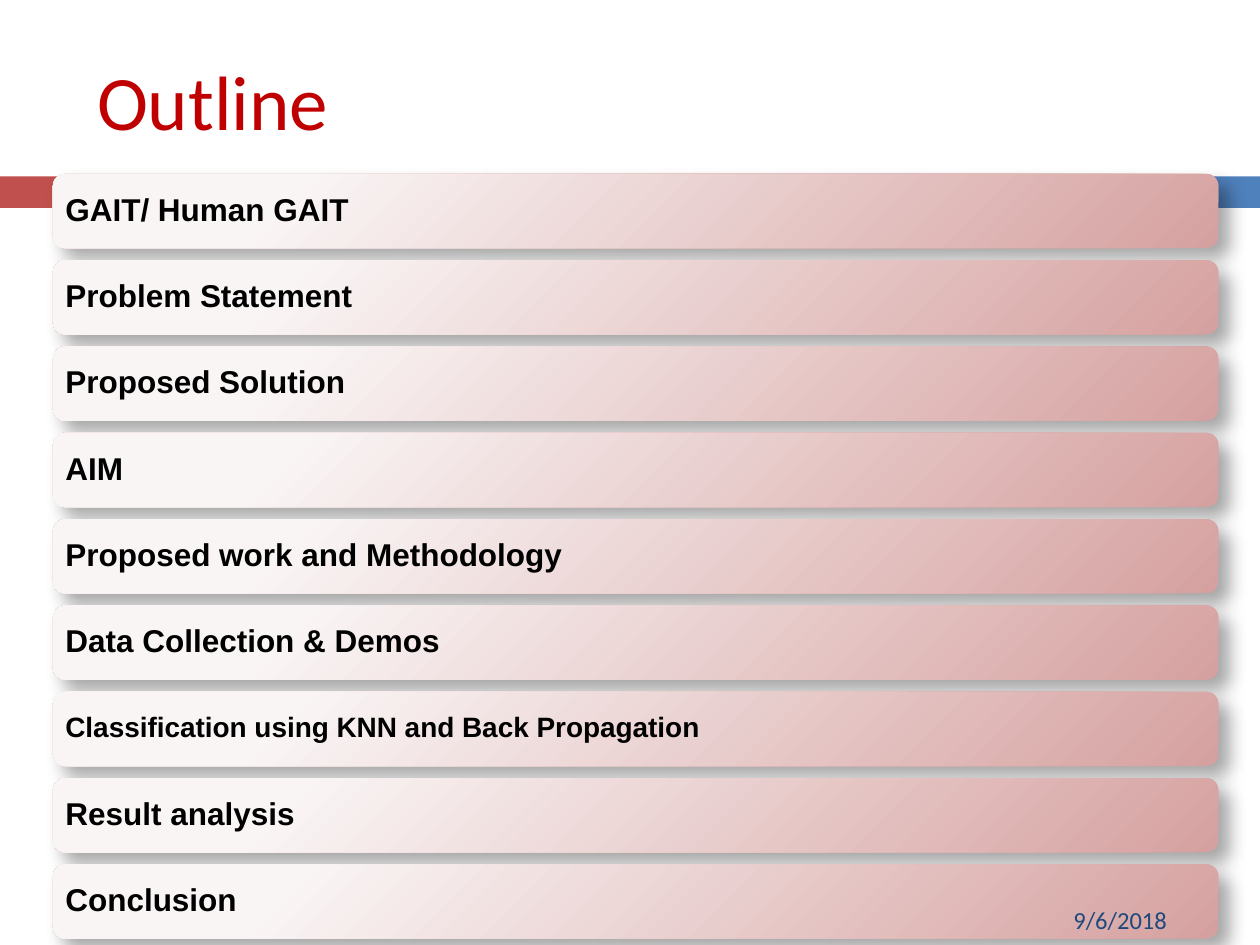
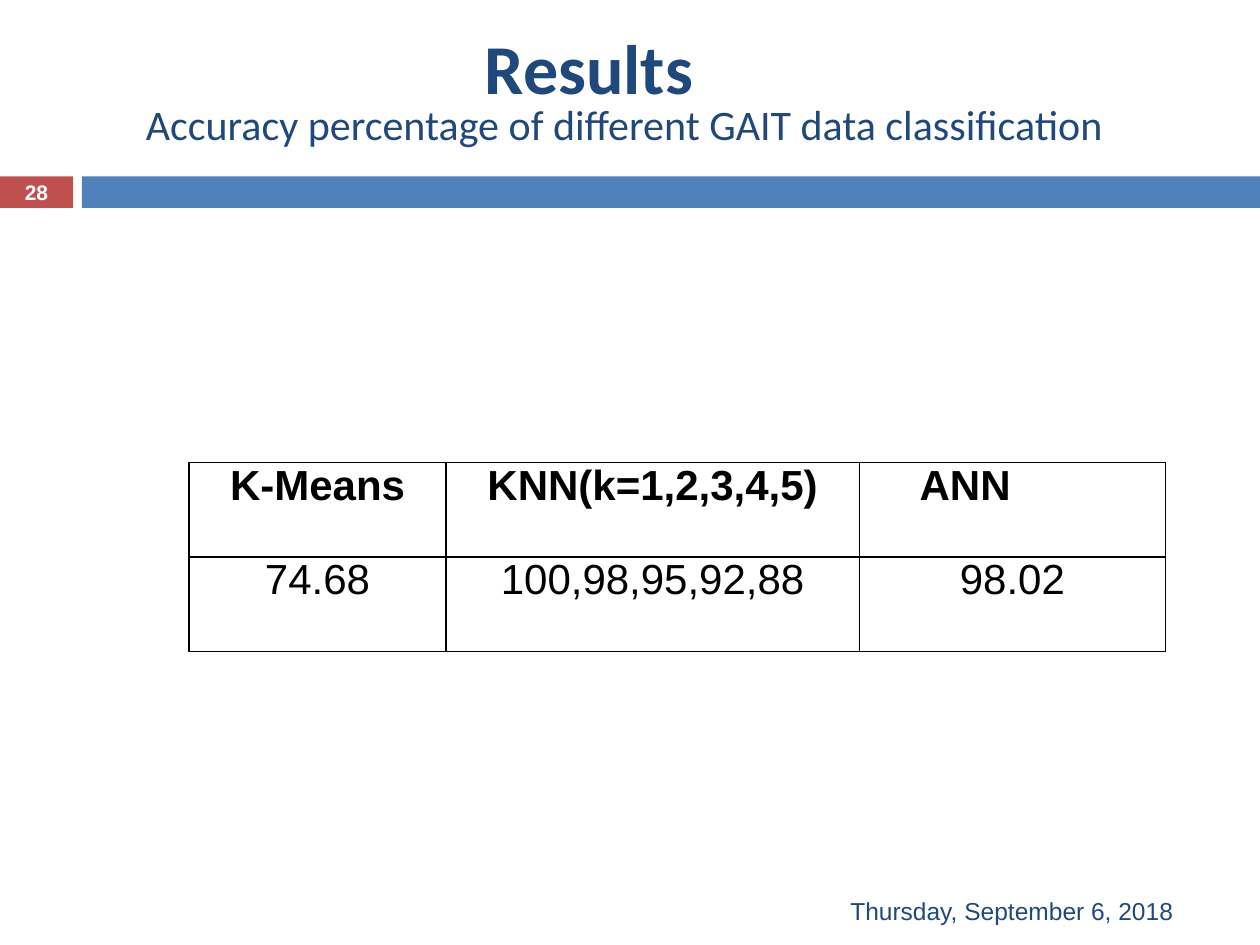
from dataclasses import dataclass

from lxml import etree
from pptx import Presentation
from pptx.dml.color import RGBColor
from pptx.enum.shapes import MSO_SHAPE
from pptx.enum.text import MSO_ANCHOR, PP_ALIGN
from pptx.oxml import parse_xml
from pptx.oxml.ns import nsdecls, qn
from pptx.util import Inches, Pt

RECT, ROUNDED = MSO_SHAPE.RECTANGLE, MSO_SHAPE.ROUNDED_RECTANGLE
LEFT, CENTER = PP_ALIGN.LEFT, PP_ALIGN.CENTER
MIDDLE = MSO_ANCHOR.MIDDLE

OUTLINE_TITLE = "Outline"
OUTLINE = [
    "GAIT/ Human GAIT",
    "Problem Statement",
    "Proposed Solution",
    "AIM",
    "Proposed work and Methodology",
    "Data Collection & Demos",
    "Classification using KNN and Back Propagation",
    "Result analysis",
    "Conclusion",
]
OUTLINE_DATE = "9/6/2018"

RESULTS_HEADING = "Results"
RESULTS_TITLE = "Accuracy percentage of different GAIT data classification"
RESULTS_DATE = "Thursday, September 6, 2018"
RESULTS_NUMBER = "28"
RESULTS = [
    ("K-Means", "KNN(k=1,2,3,4,5)", "ANN"),
    ("74.68", "100,98,95,92,88", "98.02"),
]


@dataclass(frozen=True)
class Theme:
    heading: str = "Calibri"
    body: str = "Arial"
    navy: str = "1F497D"
    red: str = "C00000"
    tab: str = "C0504D"
    band: str = "4F81BD"
    bar_light: str = "FAF5F5"
    bar_dark: str = "D5A1A0"
    ink: str = "000000"
    white: str = "FFFFFF"
    title: float = 44
    section: float = 40
    subtitle: float = 24
    table: float = 24
    item: float = 18
    long_item: float = 16
    date: float = 14
    number: float = 12


T = Theme()
WIDTH, HEIGHT = 10, 7.5
BAND_TOP, BAND_H, TAB_W, BAND_LEFT = 1.4, 0.25, 0.58, 0.65
BAR_LEFT, BAR_TOP, BAR_W, BAR_H = 0.42, 1.38, 9.25, 0.59
BAR_PITCH = (6.86 - BAR_TOP) / (len(OUTLINE) - 1)
LONG_ITEM = 40
TABLE_LEFT, TABLE_TOP, ROW_H = 1.5, 3.67, 0.75
COLS = (2.04, 3.28, 2.43)
CELL_INSET, ANN_INSET = 0.07, 0.82


def inches(*values):
    return [Inches(v) for v in values]


def write(tf, text, size, color, font=T.body, bold=False, align=LEFT):
    tf.text = text
    p = tf.paragraphs[0]
    p.alignment = align
    f = p.runs[0].font
    f.name, f.size, f.bold = font, Pt(size), bold
    f.color.rgb = RGBColor.from_string(color)


def add_text(slide, box, text, size, color, **style):
    tf = slide.shapes.add_textbox(*inches(*box)).text_frame
    tf.word_wrap = True
    tf.vertical_anchor = MIDDLE
    write(tf, text, size, color, **style)


def set_title(slide, box, text, size, color, align=LEFT):
    s = slide.shapes.title
    s.left, s.top, s.width, s.height = inches(*box)
    s.text_frame.vertical_anchor = MIDDLE
    write(s.text_frame, text, size, color, font=T.heading, align=align)


def add_plain(slide, kind, box):
    s = slide.shapes.add_shape(kind, *inches(*box))
    s.line.fill.background()
    s.shadow.inherit = False
    return s


def add_master_bands(prs, slide):
    tree = prs.slide_master.shapes.element
    bands = ((0, TAB_W, T.tab), (BAND_LEFT, WIDTH - BAND_LEFT, T.band))
    for i, (left, width, color) in enumerate(bands):
        s = add_plain(slide, RECT, (left, BAND_TOP, width, BAND_H))
        s.fill.solid()
        s.fill.fore_color.rgb = RGBColor.from_string(color)
        tree.insert(2 + i, s.element)


def add_bar(slide, row, text):
    s = add_plain(slide, ROUNDED, (BAR_LEFT, BAR_TOP + row * BAR_PITCH, BAR_W, BAR_H))
    s.fill.gradient()
    for stop, pos, color in zip(s.fill.gradient_stops, (0.2, 1), (T.bar_light, T.bar_dark)):
        stop.position = pos
        stop.color.rgb = RGBColor.from_string(color)
    grad = s.element.spPr.find(qn("a:gradFill"))
    grad.replace(grad.find(qn("a:lin")), parse_xml(
        f'<a:path {nsdecls("a")} path="circle">'
        '<a:fillToRect l="-15000" t="-15000" r="115000" b="115000"/></a:path>'))
    s.element.spPr.find(qn("a:effectLst")).append(parse_xml(
        f'<a:outerShdw {nsdecls("a")} blurRad="{Pt(10.2)}" dist="{Pt(8)}" dir="2700000" '
        f'algn="tl" rotWithShape="0"><a:srgbClr val="{T.ink}">'
        '<a:alpha val="35000"/></a:srgbClr></a:outerShdw>'))
    tf = s.text_frame
    tf.word_wrap = True
    tf.vertical_anchor = MIDDLE
    tf.margin_left = tf.margin_right = Inches(0.07)
    size = T.long_item if len(text) > LONG_ITEM else T.item
    write(tf, text, size, T.ink, bold=True)
    tf.paragraphs[0].line_spacing = 0.9


def set_borders(cell):
    tc_pr = cell._tc.get_or_add_tcPr()
    for i, side in enumerate(("lnL", "lnR", "lnT", "lnB")):
        ln = etree.Element(qn(f"a:{side}"), w=str(Pt(1)))
        fill = etree.SubElement(ln, qn("a:solidFill"))
        etree.SubElement(fill, qn("a:srgbClr"), val=T.ink)
        tc_pr.insert(i, ln)


def add_results_table(slide):
    box = inches(TABLE_LEFT, TABLE_TOP, sum(COLS), ROW_H * len(RESULTS))
    table = slide.shapes.add_table(len(RESULTS), len(COLS), *box).table
    table.first_row = table.horz_banding = False
    for col, width in zip(table.columns, COLS):
        col.width = Inches(width)
    for r, values in enumerate(RESULTS):
        table.rows[r].height = Inches(ROW_H)
        for c, value in enumerate(values):
            cell = table.cell(r, c)
            cell.fill.background()
            cell.margin_top = cell.margin_bottom = 0
            cell.margin_left = Inches(CELL_INSET)
            cell.margin_right = Inches(ANN_INSET if value == "ANN" else CELL_INSET)
            write(cell.text_frame, value, T.table, T.ink, bold=r == 0, align=CENTER)
            set_borders(cell)


def build_outline(slide):
    set_title(slide, (0.67, 0.25, 8.92, 1.08), OUTLINE_TITLE, T.title, T.red)
    for row, text in enumerate(OUTLINE):
        add_bar(slide, row, text)
    add_text(slide, (8.42, 7.1, 1.42, 0.4), OUTLINE_DATE, T.date, T.navy, font=T.heading)


def build_results(slide):
    set_title(slide, (0.29, 0.44, 9.33, 1.08), RESULTS_TITLE, T.subtitle, T.navy, CENTER)
    add_text(slide, (6.65, 7.03, 2.92, 0.4), RESULTS_DATE, T.date, T.navy)
    add_text(slide, (0, BAND_TOP - 0.01, TAB_W, 0.27), RESULTS_NUMBER, T.number, T.white,
             bold=True, align=CENTER)
    add_results_table(slide)
    add_text(slide, (3.75, -0.01, 3, 1.08), RESULTS_HEADING, T.section, T.navy,
             font=T.heading, bold=True)


def main():
    prs = Presentation()
    prs.slide_width, prs.slide_height = inches(WIDTH, HEIGHT)
    title_only = prs.slide_layouts[5]
    outline, results = (prs.slides.add_slide(title_only) for _ in range(2))
    add_master_bands(prs, outline)
    build_outline(outline)
    build_results(results)
    prs.save("out.pptx")


if __name__ == "__main__":
    main()
